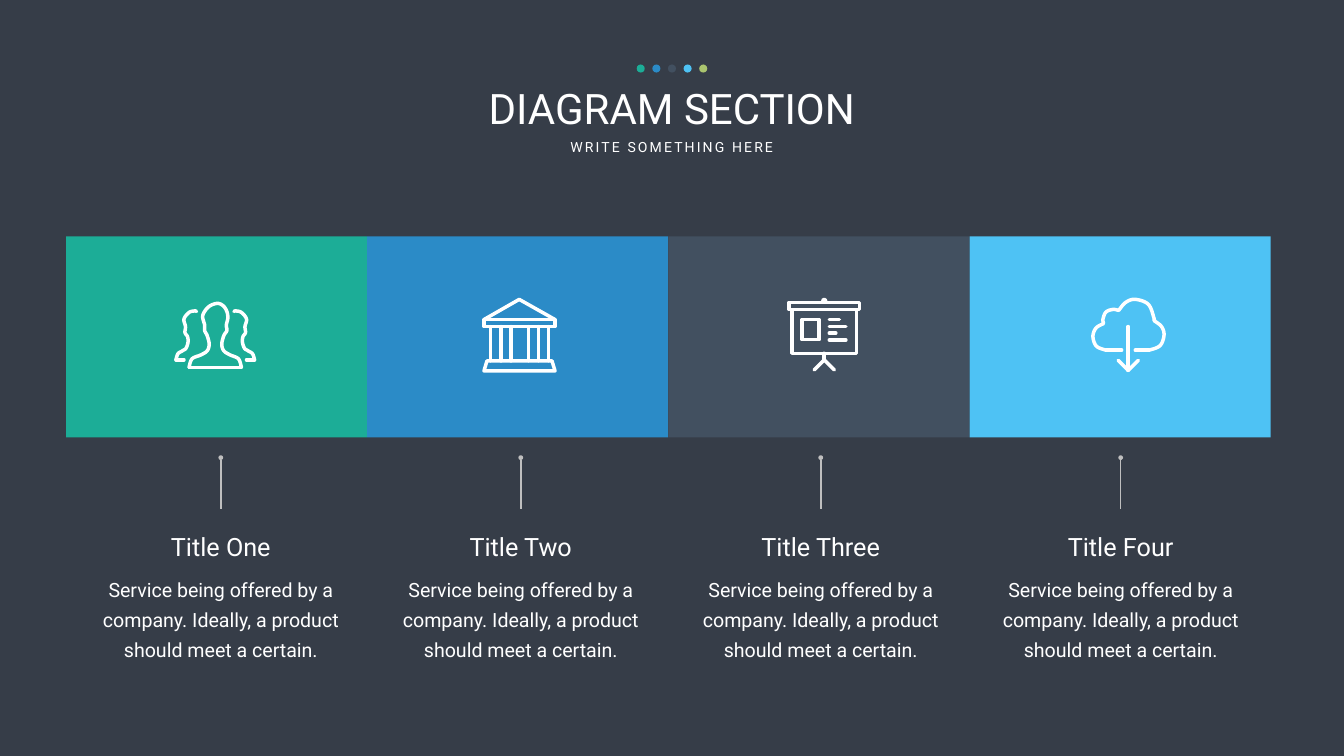
import dataclasses

import lxml.etree
import pptx
import pptx.dml.color
import pptx.enum.shapes
import pptx.enum.text
import pptx.oxml.ns
import pptx.util

Inches = pptx.util.Inches
Pt = pptx.util.Pt
Shapes = pptx.enum.shapes.MSO_SHAPE


@dataclasses.dataclass(frozen=True)
class Theme:
    font: str = "Roboto"
    background: str = "363D48"
    text: str = "FFFFFF"
    pointer: str = "BFBFBF"
    accents: tuple = ("1CAD97", "2B8BC7", "425060", "4EC2F4", "AAC46F")
    heading_size: int = 60
    subheading_size: int = 20
    title_size: int = 36
    body_size: int = 28
    body_leading: int = 43
    pointer_width: float = 2.25
    icon_width: float = 5


@dataclasses.dataclass(frozen=True)
class Icon:
    left: float
    top: float
    lines: list
    curves: list = dataclasses.field(default_factory=list)


def rectangle(left, top, right, bottom):
    return [(left, top), (right, top), (right, bottom), (left, bottom), (left, top)]


def mirror(points, width):
    return [(width - x, y) for x, y in points]


def smooth(points, steps=8):
    padded = [points[0], *points, points[-1]]
    result = [points[0]]
    for a, b, c, d in zip(padded, padded[1:], padded[2:], padded[3:]):
        for step in range(1, steps + 1):
            t = step / steps
            result.append(tuple(
                (2 * q + (r - p) * t + (2 * p - 5 * q + 4 * r - s) * t ** 2
                 + (3 * q - p - 3 * r + s) * t ** 3) / 2
                for p, q, r, s in zip(a, b, c, d)))
    return result


class SlideBuilder:
    """Draws the elements of one slide in a shared style."""

    def __init__(self, page, theme):
        self.page = page
        self.theme = theme
        self.paint(page.background.fill, theme.background)

    def colour(self, value):
        return pptx.dml.color.RGBColor.from_string(value)

    def paint(self, fill, value):
        fill.solid()
        fill.fore_color.rgb = self.colour(value)

    def row(self, kind, left, top, width, height, pitch, colours):
        group = self.page.shapes.add_group_shape()
        for index, value in enumerate(colours):
            shape = group.shapes.add_shape(
                kind, Inches(left + index * pitch), Inches(top), Inches(width), Inches(height))
            shape.shadow.inherit = False
            self.paint(shape.fill, value)
            shape.line.fill.background()

    def text(self, words, left, top, width, height, size,
             leading=None, inset=(0.1, 0.05), spacing=None, wrap=True):
        box = self.page.shapes.add_textbox(
            Inches(left), Inches(top), Inches(width), Inches(height))
        frame = box.text_frame
        frame.text = words
        frame.word_wrap = wrap
        frame.auto_size = pptx.enum.text.MSO_AUTO_SIZE.SHAPE_TO_FIT_TEXT
        frame.margin_left = frame.margin_right = Inches(inset[0])
        frame.margin_top = frame.margin_bottom = Inches(inset[1])
        para = frame.paragraphs[0]
        para.alignment = pptx.enum.text.PP_ALIGN.CENTER
        if leading:
            para.line_spacing = Pt(leading)
        span = para.runs[0]
        span.font.name = self.theme.font
        span.font.size = Pt(size)
        span.font.color.rgb = self.colour(self.theme.text)
        if spacing:
            span.font._element.set("spc", str(spacing * 100))

    def pointer(self, x, bottom, top):
        line = self.page.shapes.add_connector(
            pptx.enum.shapes.MSO_CONNECTOR.STRAIGHT,
            Inches(x), Inches(bottom), Inches(x), Inches(top))
        line.line.width = Pt(self.theme.pointer_width)
        self.paint(line.line.fill, self.theme.pointer)
        outline = line.line._get_or_add_ln()
        lxml.etree.SubElement(outline, pptx.oxml.ns.qn("a:tailEnd"), type="oval")
        lxml.etree.SubElement(line._element.spPr, pptx.oxml.ns.qn("a:effectLst"))

    def icon(self, icon):
        strokes = [
            [(Inches(icon.left + x), Inches(icon.top + y)) for x, y in points]
            for points in [*icon.lines, *map(smooth, icon.curves)]]
        builder = self.page.shapes.build_freeform(*strokes[0][0])
        for index, points in enumerate(strokes):
            if index:
                builder.move_to(*points[0])
            builder.add_line_segments(points[1:], close=points[0] == points[-1])
        shape = builder.convert_to_shape()
        shape.shadow.inherit = False
        shape.fill.background()
        shape.line.width = Pt(self.theme.icon_width)
        self.paint(shape.line.fill, self.theme.text)
        outline = shape.line._get_or_add_ln()
        outline.set("cap", "rnd")
        lxml.etree.SubElement(outline, pptx.oxml.ns.qn("a:round"))


SIDE_PERSON = [(0.45, 0.2), (0.41, 0.19), (0.3, 0.22), (0.2, 0.35), (0.23, 0.5),
               (0.22, 0.62), (0.27, 0.7), (0.28, 0.81), (0.24, 0.93), (0.17, 0.98),
               (0.08, 1.04), (0.04, 1.16)]
SIDE_BASE = [(0.04, 1.16), (0.2, 1.16)]
PEOPLE = Icon(
    3.45, 5.98,
    [[(0.3, 1.31), (1.34, 1.31)], SIDE_BASE, mirror(SIDE_BASE, 1.64)],
    [[(0.3, 1.31), (0.36, 1.14), (0.54, 1.06), (0.66, 0.98), (0.7, 0.85), (0.66, 0.68),
      (0.61, 0.58), (0.61, 0.47), (0.57, 0.3), (0.63, 0.17), (0.73, 0.08), (0.87, 0.04),
      (0.98, 0.09), (1.05, 0.2), (1.07, 0.33), (1.04, 0.47), (1.05, 0.58), (0.99, 0.68),
      (0.95, 0.85), (0.99, 0.98), (1.11, 1.06), (1.28, 1.14), (1.34, 1.31)],
     SIDE_PERSON, mirror(SIDE_PERSON, 1.64)])
BANK = Icon(
    9.56, 5.9,
    [[(0.04, 0.44), (0.74, 0.04), (1.45, 0.44)],
     rectangle(0.04, 0.44, 1.45, 0.58),
     *[[(x, 0.58), (x, 1.26)] for x in (0.17, 0.38, 0.58, 0.92, 1.12, 1.32)],
     [(0.1, 1.26), (1.39, 1.26), (1.45, 1.46), (0.04, 1.46), (0.1, 1.26)]])
BOARD = Icon(
    15.61, 5.9,
    [rectangle(0.04, 0.1, 1.44, 0.24), rectangle(0.1, 0.24, 1.38, 1.11),
     rectangle(0.3, 0.44, 0.64, 0.84),
     [(0.71, 0.06), (0.74, 0.04), (0.77, 0.06), (0.71, 0.06)],
     [(0.74, 1.11), (0.74, 1.24)], [(0.54, 1.44), (0.74, 1.24), (0.94, 1.44)],
     *[[(0.84, 0.44 + index * 0.135), (end, 0.44 + index * 0.135)]
       for index, end in enumerate((1.04, 1.17, 0.97, 1.17))]])
CLOUD = Icon(
    21.64, 5.9,
    [[(0.61, 1.05), (0.3, 1.05)], [(0.88, 1.05), (1.15, 1.05)],
     [(0.74, 0.58), (0.74, 1.45)], [(0.54, 1.25), (0.74, 1.45), (0.94, 1.25)]],
    [[(0.3, 1.05), (0.11, 0.97), (0.04, 0.78), (0.1, 0.61), (0.25, 0.52)],
     [(0.25, 0.52), (0.24, 0.43), (0.3, 0.29), (0.44, 0.24), (0.55, 0.26)],
     [(0.55, 0.26), (0.69, 0.1), (0.88, 0.04), (1.14, 0.14), (1.25, 0.41), (1.25, 0.46)],
     [(1.25, 0.46), (1.4, 0.58), (1.45, 0.75), (1.37, 0.96), (1.15, 1.05)]])
TITLES = ("Title One", "Title Two", "Title Three", "Title Four")
BODY = "Service being offered by a company. Ideally, a product should meet a certain."


def main():
    deck = pptx.Presentation()
    deck.slide_width, deck.slide_height = Inches(26.66), Inches(15)
    theme = Theme()
    slide = SlideBuilder(deck.slides.add_slide(deck.slide_layouts[6]), theme)

    slide.text("DIAGRAM SECTION", 7.7, 1.59, 11.25, 1.11, theme.heading_size)
    slide.text("WRITE SOMETHING HERE", 11.15, 2.7, 4.35, 0.44, theme.subheading_size,
               spacing=3, wrap=False)
    slide.row(Shapes.OVAL, 12.63, 1.28, 0.16, 0.16, 0.31, theme.accents)
    slide.row(Shapes.RECTANGLE, 1.31, 4.69, 5.97, 3.99, 23.9 / 4, theme.accents[:4])

    for index, (title, icon) in enumerate(zip(TITLES, (PEOPLE, BANK, BOARD, CLOUD))):
        center = 4.38 + index * 5.95
        slide.icon(icon)
        slide.pointer(center, 10.09, 9.08)
        slide.text(title, center - 4.83 / 2, 10.5, 4.83, 0.71, theme.title_size)
        slide.text(BODY, center - 5.89 / 2, 11.21, 5.89, 2, theme.body_size,
                   leading=theme.body_leading, inset=(0.24, 0.12))

    deck.save("out.pptx")


if __name__ == "__main__":
    main()
